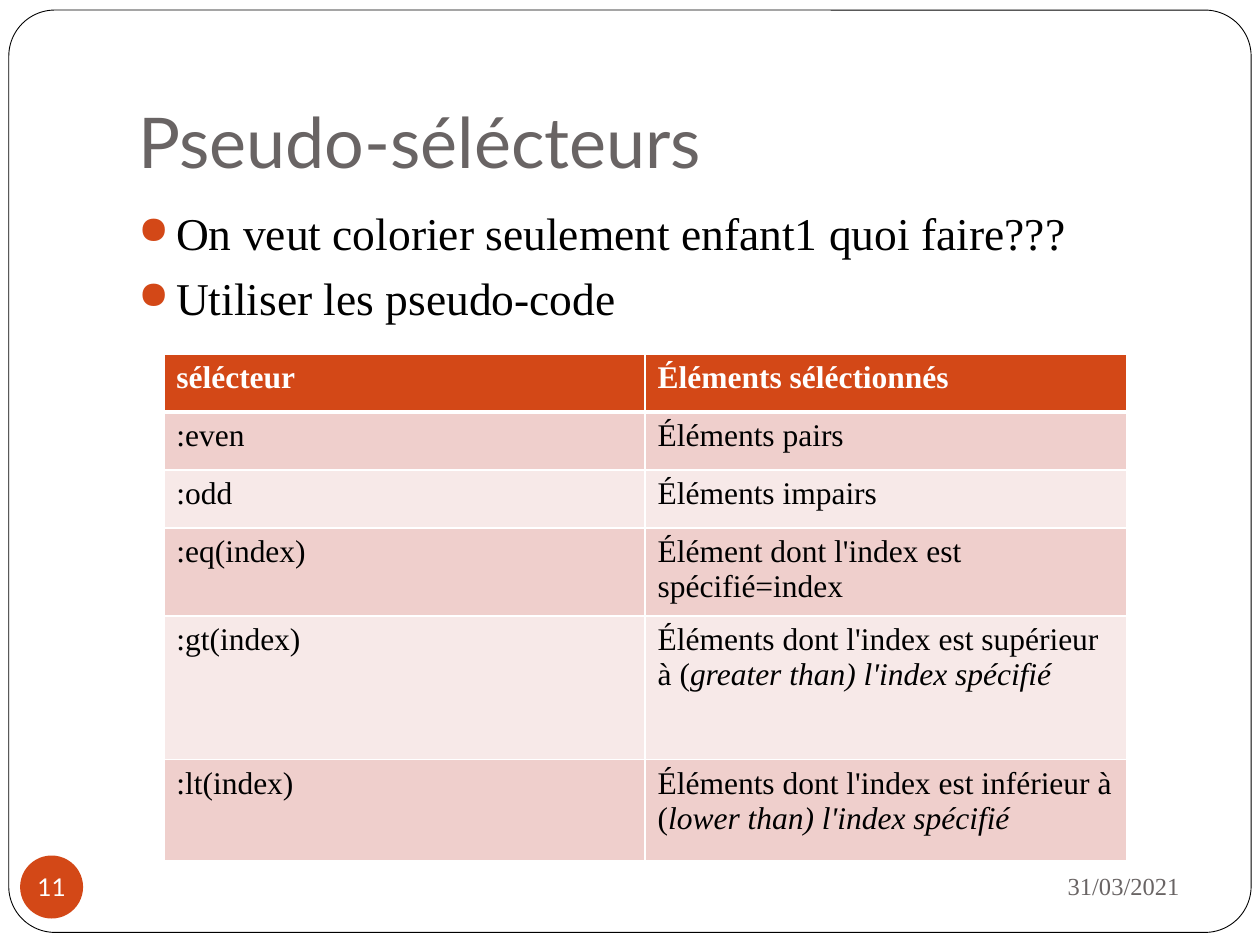
from dataclasses import dataclass

from lxml.etree import SubElement
from pptx import Presentation
from pptx.dml.color import RGBColor
from pptx.enum.shapes import MSO_SHAPE as Shape
from pptx.enum.text import MSO_ANCHOR as Anchor, PP_ALIGN as Align
from pptx.oxml import parse_xml
from pptx.oxml.ns import nsdecls, qn
from pptx.util import Inches, Pt


@dataclass(frozen=True)
class Theme:
    accent: str = "D34817"
    grey: str = "696464"
    black: str = "000000"
    white: str = "FFFFFF"
    bands: tuple = ("EFCFCC", "F7E9E8")
    sans: str = "Lato"
    serif: str = "Times New Roman"
    title_size: int = 40
    body_size: int = 26
    table_size: int = 18
    footer_size: int = 14


@dataclass(frozen=True)
class Box:
    left: float
    top: float
    width: float
    height: float

    def lengths(self) -> tuple:
        return tuple(map(Inches, (self.left, self.top, self.width, self.height)))


@dataclass(frozen=True)
class Row:
    selector: str
    meaning: str
    height: float = 0.46
    italic_end: str = ""


THEME = Theme()
BULLETS = ["On veut colorier seulement enfant1 quoi faire???", "Utiliser les pseudo-code"]
ROWS = [
    Row("sélécteur", "Éléments séléctionnés"),
    Row(":even", "Éléments pairs"),
    Row(":odd", "Éléments impairs"),
    Row(":eq(index)", "Élément dont l'index est spécifié=index"),
    Row(":gt(index)", "Éléments dont l'index est supérieur à (", 1.14,
        "greater than) l'index spécifié"),
    Row(":lt(index)", "Éléments dont l'index est inférieur à (", 0.8,
        "lower than) l'index spécifié"),
]


def rgb(color: str) -> RGBColor:
    return RGBColor.from_string(color)


def style(para, size: int, face: str, color: str, bold: bool = False) -> None:
    font = para.font
    font.size, font.name, font.bold = Pt(size), face, bold
    font.color.rgb = rgb(color)


def add_shape(page, kind, box: Box, fill: str):
    shape = page.shapes.add_shape(kind, *box.lengths())
    shape.shadow.inherit = False
    shape.fill.solid()
    shape.fill.fore_color.rgb = rgb(fill)
    shape.line.fill.background()
    return shape


def add_text(page, box: Box, lines: list, size: int, face: str, color: str,
             anchor=Anchor.TOP, align=Align.LEFT):
    frame = page.shapes.add_textbox(*box.lengths()).text_frame
    frame.word_wrap = True
    frame.vertical_anchor = anchor
    frame.text = "\n".join(lines)
    for para in frame.paragraphs:
        para.alignment = align
        style(para, size, face, color)
    return frame


def add_bullet(para) -> None:
    para.space_before = Pt(5.8)
    props = para._p.get_or_add_pPr()
    props.set("marL", str(Inches(0.3)))
    props.set("indent", str(Inches(-0.3)))
    # The bullet goes after the spacing and before the default run properties
    marks = parse_xml(
        f'<a:pPr {nsdecls("a")}><a:buClr><a:srgbClr val="{THEME.accent}"/></a:buClr>'
        '<a:buSzPct val="85000"/><a:buChar char="●"/></a:pPr>')
    defaults = props.find(qn("a:defRPr"))
    for mark in list(marks):
        defaults.addprevious(mark)


def set_borders(cell, top: int, bottom: int) -> None:
    props = cell._tc.get_or_add_tcPr()
    widths = {"lnL": 1, "lnR": 1, "lnT": top, "lnB": bottom}
    for place, (side, width) in enumerate(widths.items()):
        line = SubElement(props, qn(f"a:{side}"), w=str(Pt(width)))
        fill = SubElement(line, qn("a:solidFill"))
        SubElement(fill, qn("a:srgbClr"), val=THEME.white)
        props.insert(place, line)


def add_selector_table(page, box: Box, rows: list[Row]) -> None:
    table = page.shapes.add_table(len(rows), 2, *box.lengths()).table
    for column in table.columns:
        column.width = Inches(box.width / 2)
    for index, row in enumerate(rows):
        header = index == 0
        table.rows[index].height = Inches(row.height)
        for column, text in enumerate((row.selector, row.meaning)):
            cell = table.cell(index, column)
            cell.fill.solid()
            cell.fill.fore_color.rgb = rgb(
                THEME.accent if header else THEME.bands[(index - 1) % 2])
            set_borders(cell, top=3 if index == 1 else 1, bottom=3 if header else 1)
            para = cell.text_frame.paragraphs[0]
            para.add_run().text = text
            if column == 1 and row.italic_end:
                span = para.add_run()
                span.text = row.italic_end
                span.font.italic = True
            style(para, THEME.table_size, THEME.serif,
                  THEME.white if header else THEME.black, bold=header)


def main() -> None:
    deck = Presentation()
    deck.slide_width, deck.slide_height = Inches(10), Inches(7.5)
    page = deck.slides.add_slide(deck.slide_layouts[6])

    # Rounded page frame
    frame = add_shape(page, Shape.ROUNDED_RECTANGLE, Box(0.07, 0.08, 9.86, 7.32), THEME.white)
    frame.adjustments[0] = 0.05
    frame.line.color.rgb = rgb(THEME.black)
    frame.line.width = Pt(0.5)

    # Title and bullets
    title = add_text(page, Box(1, 0.3, 8.5, 1.25), ["Pseudo-sélécteurs"],
                     THEME.title_size, THEME.sans, THEME.grey, Anchor.BOTTOM)
    title.margin_bottom = Inches(0.1)
    body = add_text(page, Box(1, 1.58, 8.5, 5), BULLETS,
                    THEME.body_size, THEME.serif, THEME.black)
    for para in body.paragraphs:
        add_bullet(para)

    # Selector table
    add_selector_table(page, Box(1.3, 2.81, 7.64, 3.8), ROWS)

    # Date and page number
    add_text(page, Box(6.75, 6.77, 2.71, 0.52), ["31/03/2021"],
             THEME.footer_size, THEME.serif, THEME.grey, Anchor.MIDDLE, Align.RIGHT)
    badge = add_shape(page, Shape.OVAL, Box(0.16, 6.79, 0.5, 0.5), THEME.accent).text_frame
    badge.margin_left = badge.margin_right = badge.margin_top = badge.margin_bottom = 0
    badge.word_wrap = False
    badge.vertical_anchor = Anchor.MIDDLE
    badge.text = "11"
    number = badge.paragraphs[0]
    number.alignment = Align.CENTER
    style(number, THEME.footer_size, THEME.sans, THEME.white)

    deck.save("out.pptx")


if __name__ == "__main__":
    main()
